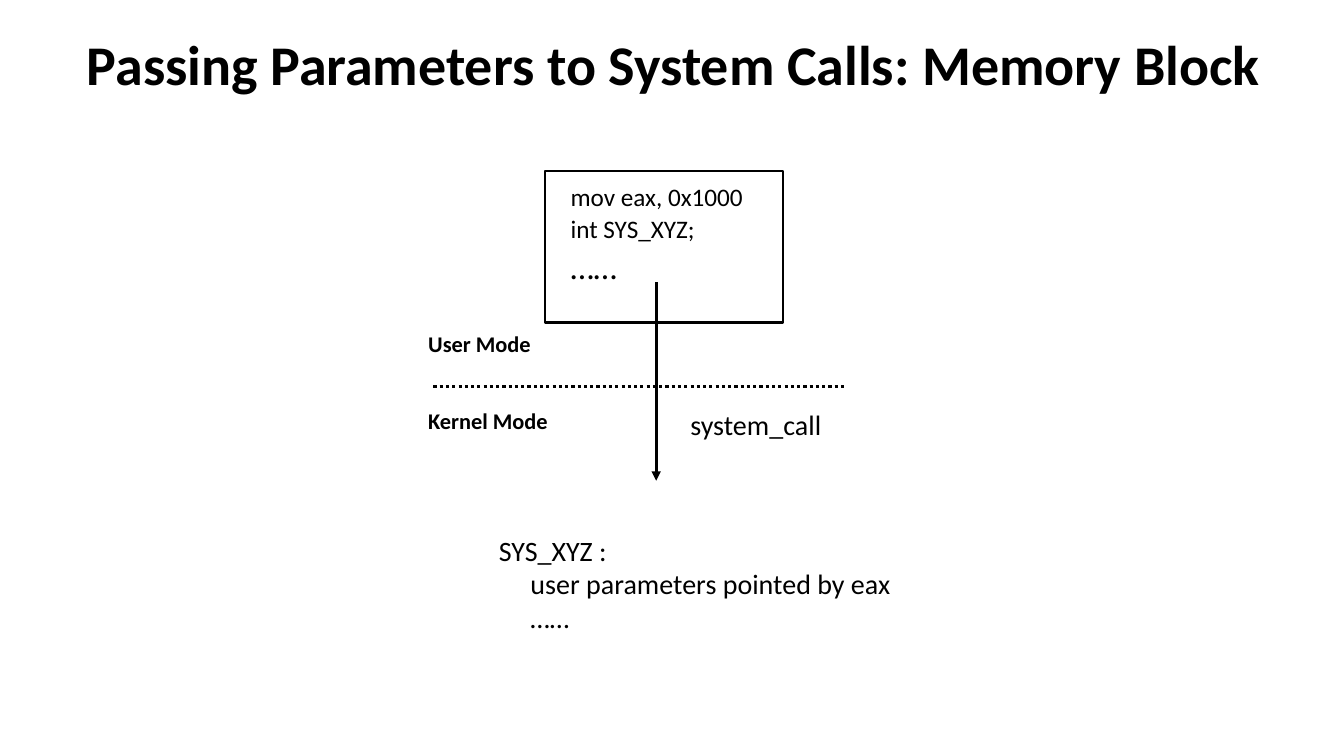
from dataclasses import dataclass

from pptx import Presentation
from pptx.dml.color import RGBColor
from pptx.enum.dml import MSO_LINE
from pptx.enum.shapes import MSO_CONNECTOR, MSO_SHAPE
from pptx.enum.text import MSO_ANCHOR, MSO_AUTO_SIZE, PP_ALIGN
from pptx.oxml.ns import qn
from pptx.util import Pt

DOTS = MSO_LINE.ROUND_DOT
STRAIGHT = MSO_CONNECTOR.STRAIGHT
RECT = MSO_SHAPE.RECTANGLE
TOP, MIDDLE = MSO_ANCHOR.TOP, MSO_ANCHOR.MIDDLE
FIXED = MSO_AUTO_SIZE.NONE
LEFT, CENTER = PP_ALIGN.LEFT, PP_ALIGN.CENTER


@dataclass(frozen=True)
class Theme:
    ink: RGBColor = RGBColor(0, 0, 0)
    font: str = "Calibri"
    title: int = 40
    large: int = 24
    text: int = 20
    code: int = 18
    label: int = 16
    line: float = 2.25
    frame: float = 1.5


@dataclass(frozen=True)
class Line:
    text: str
    size: int
    bold: bool = False
    indent: float = 0


@dataclass(frozen=True)
class Block:
    left: float
    top: float
    width: float
    height: float
    lines: tuple[Line, ...]
    align: int = LEFT
    anchor: int = TOP
    pitch: float = 1
    gap: float = 0


@dataclass(frozen=True)
class Rule:
    start: tuple[float, float]
    end: tuple[float, float]
    dash: int | None = None
    arrow: bool = False


THEME = Theme()
TITLE = Block(49, 0, 864, 90,
              (Line("Passing Parameters to System Calls: Memory Block", THEME.title, True),),
              CENTER, MIDDLE)
CODE = Block(400.3, 128.2, 147.6, 98.6,
             (Line("mov eax, 0x1000", THEME.code),
              Line("int SYS_XYZ;", THEME.code),
              Line("……", THEME.large)),
             pitch=0.9, gap=0.2)
NOTES = (
    Block(298.8, 287.3, 108, 26.6, (Line("Kernel Mode", THEME.label, True),)),
    Block(349.2, 377.2, 351.4, 104,
          (Line("SYS_XYZ :", THEME.text),
           Line("user parameters pointed by eax", THEME.text, indent=22.6),
           Line("……", THEME.text, indent=22.6))),
    Block(486, 287.3, 115, 31, (Line("system_call", THEME.text),)),
    Block(298.8, 232.6, 121, 26.6, (Line("User Mode", THEME.label, True),)),
)
FRAME = (389.5, 122.4, 169.9, 108)
RULES = (
    Rule((309.6, 275.8), (604.8, 275.8), dash=DOTS),
    Rule((468.7, 201.6), (468.7, 343.4), arrow=True),
)


def assign(target, values: dict) -> None:
    for name, value in values.items():
        setattr(target, name, value)


def fill(shape, block: Block) -> None:
    assign(shape, {"left": Pt(block.left), "top": Pt(block.top),
                   "width": Pt(block.width), "height": Pt(block.height)})
    frame = shape.text_frame
    assign(frame, {"word_wrap": True, "auto_size": FIXED,
                   "vertical_anchor": block.anchor})
    for index, line in enumerate(block.lines):
        para = frame.add_paragraph() if index else frame.paragraphs[0]
        props = para._p.get_or_add_pPr()
        assign(para, {"alignment": block.align, "line_spacing": block.pitch,
                      "space_before": Pt(block.gap * line.size if index else 0),
                      "space_after": Pt(0)})
        props.set("marL", str(Pt(line.indent)))
        props.set("indent", "0")
        props.append(props.makeelement(qn("a:buNone"), {}))
        run = para.add_run()
        run.text = line.text
        assign(run.font, {"name": THEME.font, "size": Pt(line.size), "bold": line.bold})
        run.font.color.rgb = THEME.ink


def connect(slide, rule: Rule) -> None:
    link = slide.shapes.add_connector(STRAIGHT, *map(Pt, rule.start + rule.end))
    link.line.color.rgb = THEME.ink
    assign(link.line, {"width": Pt(THEME.line), "dash_style": rule.dash})
    if rule.arrow:
        stroke = link.line._ln
        stroke.append(stroke.makeelement(qn("a:tailEnd"), {"type": "triangle"}))
    props = link._element.spPr
    props.append(props.makeelement(qn("a:effectLst"), {}))


def enclose(slide) -> None:
    box = slide.shapes.add_shape(RECT, *map(Pt, FRAME))
    box.shadow.inherit = False
    box.fill.background()
    box.line.color.rgb = THEME.ink
    box.line.width = Pt(THEME.frame)


def main() -> None:
    deck = Presentation()
    assign(deck, {"slide_width": Pt(960), "slide_height": Pt(540)})
    slide = deck.slides.add_slide(deck.slide_layouts[1])
    fill(slide.shapes.title, TITLE)
    fill(slide.placeholders[1], CODE)
    enclose(slide)
    for rule in RULES:
        connect(slide, rule)
    for note in NOTES:
        fill(slide.shapes.add_textbox(0, 0, 0, 0), note)
    deck.save("out.pptx")


if __name__ == "__main__":
    main()
